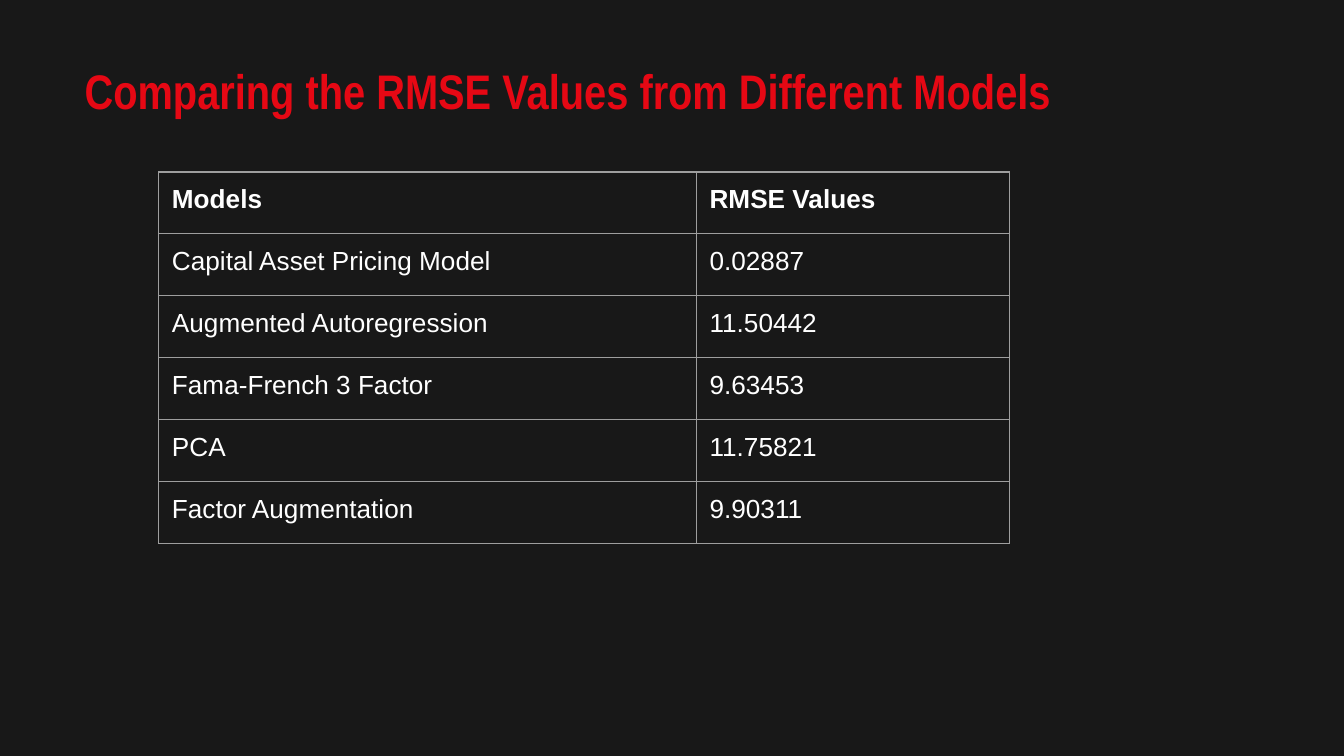
from lxml import etree
from pptx import Presentation
from pptx.dml.color import RGBColor
from pptx.enum.text import MSO_ANCHOR as Anchor
from pptx.oxml.ns import qn
from pptx.util import Cm, Pt

BACKGROUND = RGBColor(0x18, 0x18, 0x18)
RED = RGBColor(0xE6, 0x08, 0x14)
WHITE = RGBColor(0xFF, 0xFF, 0xFF)
GREY = RGBColor(0x9E, 0x9E, 0x9E)

MODELS = [
    ("Models", "RMSE Values"),
    ("Capital Asset Pricing Model", "0.02887"),
    ("Augmented Autoregression", "11.50442"),
    ("Fama-French 3 Factor", "9.63453"),
    ("PCA", "11.75821"),
    ("Factor Augmentation", "9.90311"),
]


class Deck:
    title_font = "Arial Narrow"
    body_font = "Arial"
    inset = Cm(0.25)

    def __init__(self, width, height):
        self.prs = Presentation()
        self.prs.slide_width, self.prs.slide_height = Cm(width), Cm(height)
        self.s = self.prs.slides.add_slide(self.prs.slide_layouts[6])
        fill = self.s.background.fill
        fill.solid()
        fill.fore_color.rgb = BACKGROUND

    def run(self, p, text, font, size, color, bold=False):
        r = p.add_run()
        r.text = text
        r.font.name, r.font.size, r.font.bold = font, Pt(size), bold
        r.font.color.rgb = color

    def set_insets(self, box):
        box.margin_left = box.margin_right = self.inset
        box.margin_top = box.margin_bottom = self.inset

    def title(self, text, x, y, w, h):
        sp = self.s.shapes.add_textbox(Cm(x), Cm(y), Cm(w), Cm(h))
        tf = sp.text_frame
        tf.word_wrap = True
        tf.vertical_anchor = Anchor.MIDDLE
        self.set_insets(tf)
        self.run(tf.paragraphs[0], text, self.title_font, 26, RED, bold=True)

    def borders(self, cell):
        tc_pr = cell._tc.get_or_add_tcPr()
        for side in ("a:lnL", "a:lnR", "a:lnT", "a:lnB"):
            ln = etree.SubElement(tc_pr, qn(side), w=str(Pt(0.75)))
            fill = etree.SubElement(ln, qn("a:solidFill"))
            etree.SubElement(fill, qn("a:srgbClr"), val=str(GREY))

    def table(self, rows, x, y, col_widths, row_height):
        frame = self.s.shapes.add_table(
            len(rows), len(col_widths), Cm(x), Cm(y),
            Cm(sum(col_widths)), Cm(row_height * len(rows)))
        table = frame.table
        table.horz_banding = False
        for column, width in zip(table.columns, col_widths):
            column.width = Cm(width)
        for i, row in enumerate(rows):
            table.rows[i].height = Cm(row_height)
            for j, text in enumerate(row):
                cell = table.cell(i, j)
                self.set_insets(cell)
                self.borders(cell)
                cell.fill.background()
                self.run(cell.text_frame.paragraphs[0], text,
                         self.body_font, 14, WHITE, bold=i == 0)


def main():
    deck = Deck(25.4, 14.29)
    # Heading
    deck.title("Comparing the RMSE Values from Different Models",
               1.35, 0.69, 21.62, 2.01)
    # Error of each model
    deck.table(MODELS, 3, 3.25, (10.16, 5.92), 1.17)
    deck.prs.save("out.pptx")


if __name__ == "__main__":
    main()
